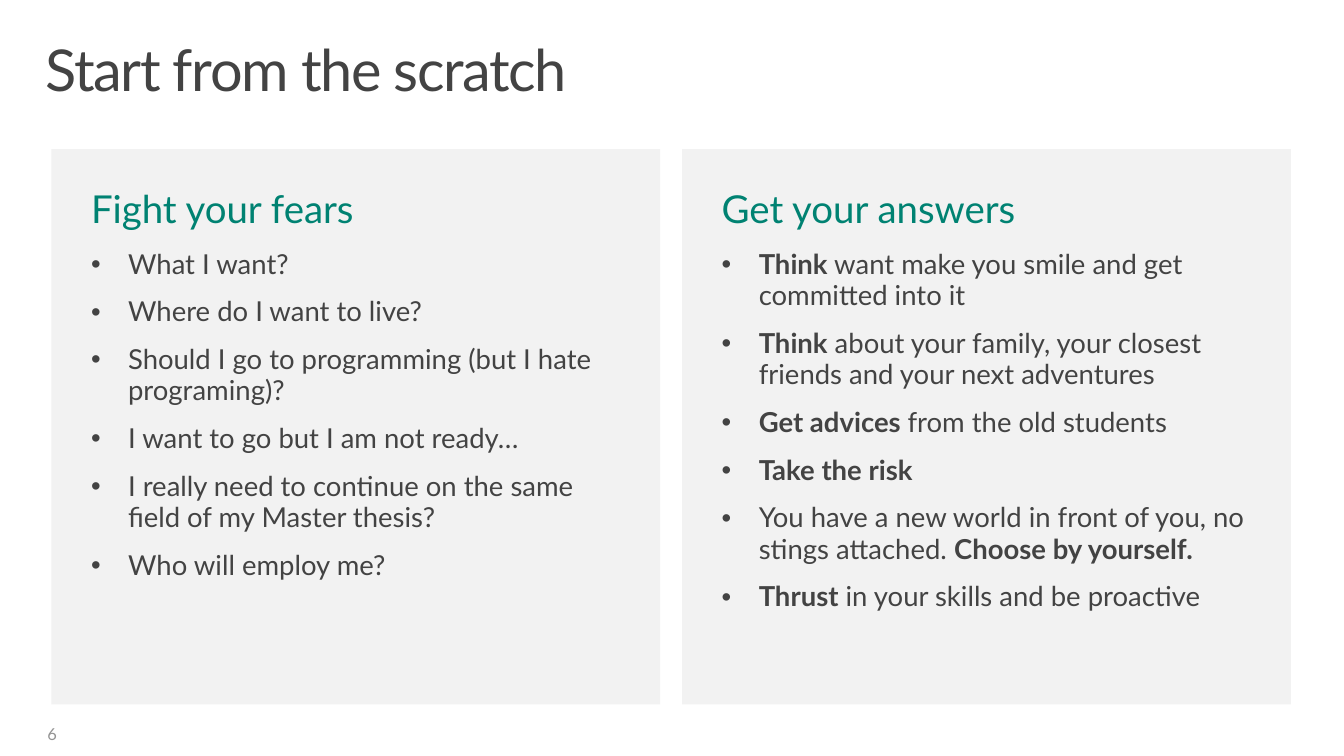
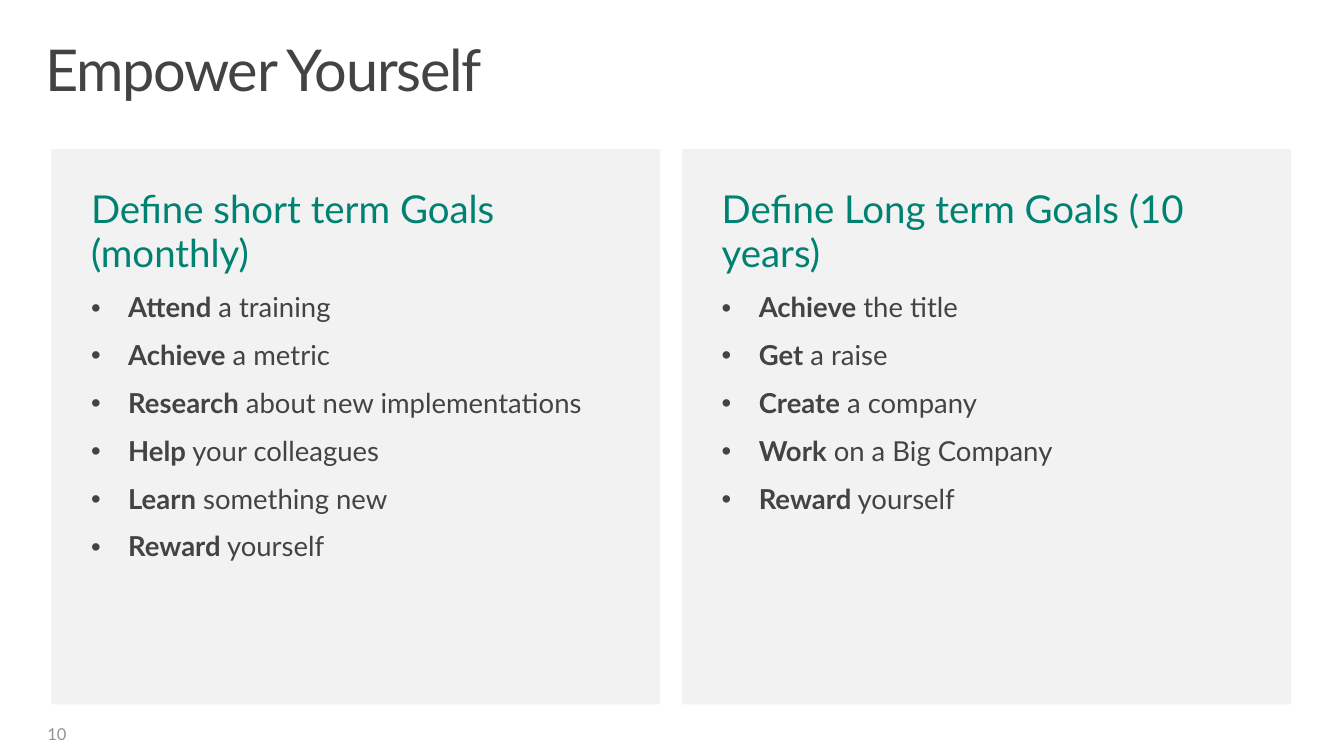
from lxml import etree
from pptx import Presentation
from pptx.dml.color import RGBColor
from pptx.enum import text as text_enum
from pptx.oxml import ns
from pptx.util import Pt

FONT = "Lato"
INK, TEAL, PANEL, GREY = "434343", "008272", "F2F2F2", "949494"
TITLE_BOX = (21.6, 23, 936, 72)
NUMBER_BOX = (27.4, 519.8, 228.2, 29.5)
PANELS_BOX = (37.5, 108.7, 903, 404.6)
PANEL_GAP = 16
BULLET_INDENT = 27
BOLD_MARK = "**"

SLIDES = [
    {
        "title": "Start from the scratch",
        "number": "6",
        "panels": [
            ("Fight your fears", [
                "What I want?",
                "Where do I want to live?",
                "Should I go to programming (but I hate programing)?",
                "I want to go but I am not ready…",
                "I really need to continue on the same field of my Master thesis?",
                "Who will employ me?",
            ]),
            ("Get your answers", [
                "**Think** want make you smile and get committed into it",
                "**Think** about your family, your closest friends and your next adventures",
                "**Get advices **from the old students",
                "**Take the risk**",
                "You have a new world in front of you, no stings attached. **Choose by yourself.**",
                "**Thrust** in your skills and be proactive",
            ]),
        ],
    },
    {
        "title": "Empower Yourself",
        "number": "10",
        "panels": [
            ("Define short term Goals (monthly)", [
                "**Attend** a training",
                "**Achieve** a metric",
                "**Research** about new implementations",
                "**Help** your colleagues",
                "**Learn** something new",
                "**Reward** yourself",
            ]),
            ("Define Long term Goals (10 years)", [
                "**Achieve** the title",
                "**Get** a raise",
                "**Create** a company",
                "**Work** on a Big Company",
                "**Reward** yourself",
            ]),
        ],
    },
]


def color(value):
    return RGBColor.from_string(value)


def place(shape, box):
    shape.left, shape.top, shape.width, shape.height = map(Pt, box)


def set_frame(frame, anchor=text_enum.MSO_ANCHOR.TOP, insets=(7.2, 3.6, 7.2, 3.6)):
    frame.word_wrap = True
    frame.auto_size = text_enum.MSO_AUTO_SIZE.NONE
    frame.vertical_anchor = anchor
    (frame.margin_left, frame.margin_top,
     frame.margin_right, frame.margin_bottom) = map(Pt, insets)


def write(paragraph, content, size=20, fill=INK, line=1.0, after=0, tracking=0):
    paragraph.alignment = text_enum.PP_ALIGN.LEFT
    paragraph.line_spacing = line
    paragraph.space_before = Pt(0)
    paragraph.space_after = Pt(after)
    for position, part in enumerate(content.split(BOLD_MARK)):
        if not part:
            continue
        run = paragraph.add_run()
        run.text = part
        run.font.name = FONT
        run.font.size = Pt(size)
        run.font.bold = position % 2 == 1
        run.font.color.rgb = color(fill)
        if tracking:
            run._r.get_or_add_rPr().set("spc", str(tracking * 100))


def set_bullet(paragraph, symbol=None):
    properties = paragraph._p.get_or_add_pPr()
    indent = Pt(BULLET_INDENT) if symbol else 0
    properties.set("marL", str(indent))
    properties.set("indent", str(-indent))
    if not symbol:
        etree.SubElement(properties, ns.qn("a:buNone"))
        return
    bullet_color = etree.SubElement(properties, ns.qn("a:buClr"))
    etree.SubElement(bullet_color, ns.qn("a:srgbClr"), val=INK)
    etree.SubElement(properties, ns.qn("a:buFont"), typeface="Arial")
    etree.SubElement(properties, ns.qn("a:buChar"), char=symbol)


def add_title(slide, content, box):
    title = slide.shapes.title
    place(title, box)
    set_frame(title.text_frame, insets=(11.5, 7.2, 11.5, 7.2))
    write(title.text_frame.paragraphs[0], content, size=42, line=0.9, tracking=-1)


def add_number(slide, content, box):
    number = slide.shapes.add_textbox(*map(Pt, box))
    set_frame(number.text_frame, anchor=text_enum.MSO_ANCHOR.MIDDLE)
    write(number.text_frame.paragraphs[0], content, size=12, fill=GREY)


def fill_panel(panel, heading, items, box):
    place(panel, box)
    panel.fill.solid()
    panel.fill.fore_color.rgb = color(PANEL)
    frame = panel.text_frame
    set_frame(frame, insets=(28.8, 28.8, 21.6, 8.6))
    write(frame.paragraphs[0], heading, size=28, fill=TEAL, line=0.95, after=12)
    set_bullet(frame.paragraphs[0])
    for item in items:
        paragraph = frame.add_paragraph()
        write(paragraph, item, line=0.95, after=12)
        set_bullet(paragraph, "•")


def add_panels(slide, panels, box):
    left, top, width, height = box
    panel_width = (width - PANEL_GAP * (len(panels) - 1)) / len(panels)
    for index, (heading, items) in enumerate(panels):
        panel_left = left + index * (panel_width + PANEL_GAP)
        fill_panel(slide.placeholders[index + 1], heading, items,
                   (panel_left, top, panel_width, height))


def add_two_panel_slide(presentation, title, number, panels):
    layout = presentation.slide_layouts.get_by_name("Two Content")
    slide = presentation.slides.add_slide(layout)
    add_title(slide, title, TITLE_BOX)
    add_number(slide, number, NUMBER_BOX)
    add_panels(slide, panels, PANELS_BOX)


def main():
    presentation = Presentation()
    presentation.slide_width = Pt(979.2)
    presentation.slide_height = Pt(550.8)
    for content in SLIDES:
        add_two_panel_slide(presentation, **content)
    presentation.save("out.pptx")


if __name__ == "__main__":
    main()
